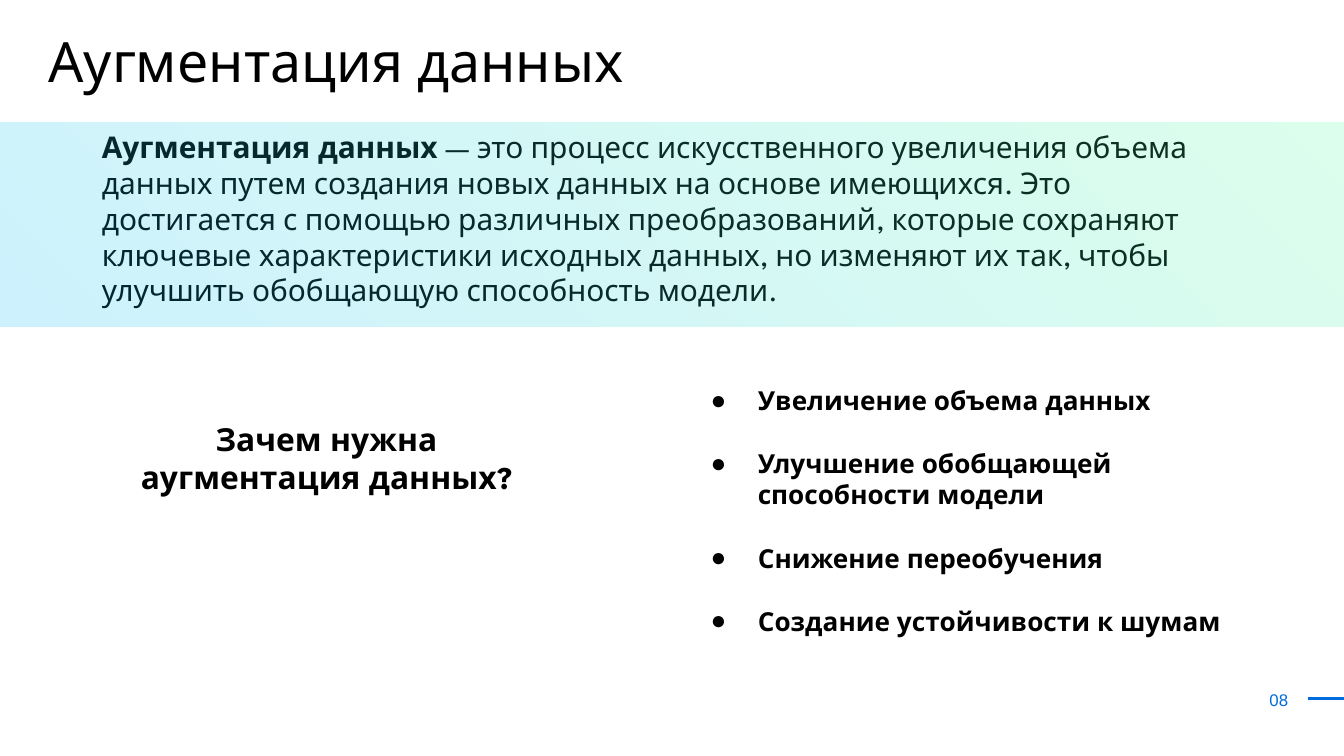
from lxml.etree import SubElement
from pptx import Presentation
from pptx.dml.color import RGBColor
from pptx.enum.shapes import MSO_CONNECTOR, MSO_SHAPE
from pptx.enum.text import MSO_ANCHOR, PP_ALIGN
from pptx.oxml.ns import qn
from pptx.util import Inches, Pt

WIDTH = 10
HEIGHT = WIDTH * 9 / 16
FONT = "League Spartan"
BLACK, ACCENT = "000000", "006CDC"
SKY, MINT = "00B8FF", "54FF9F"

HEADING = "Аугментация данных"
DEFINITION = (
    " — это процесс искусственного увеличения объема данных путем создания новых "
    "данных на основе имеющихся. Это достигается с помощью различных преобразований, "
    "которые сохраняют ключевые характеристики исходных данных, но изменяют их так, "
    "чтобы улучшить обобщающую способность модели."
)
QUESTION = "Зачем нужна аугментация данных?"
REASONS = [
    "Увеличение объема данных",
    "Улучшение обобщающей способности модели",
    "Снижение переобучения",
    "Создание устойчивости к шумам",
]


def colour(value):
    return RGBColor.from_string(value)


def place(shape, box):
    shape.left, shape.top, shape.width, shape.height = map(Inches, box)


def add_bullet(paragraph):
    props = paragraph._p.get_or_add_pPr()
    props.set("marL", str(Inches(0.5)))
    props.set("indent", str(Inches(-0.35)))
    bullet_colour = SubElement(props, qn("a:buClr"))
    SubElement(bullet_colour, qn("a:srgbClr"), val=BLACK)
    SubElement(props, qn("a:buFont"), typeface="Arial")
    SubElement(props, qn("a:buChar"), char="●")


def write(shape, paragraphs, size, font=FONT, ink=BLACK, align=PP_ALIGN.LEFT,
          insets=(0.1, 0.1, 0.1, 0.1), bullets=False, gap=0):
    """Fill a shape with paragraphs, each a list of (text, bold) runs."""
    frame = shape.text_frame
    frame.word_wrap = True
    frame.vertical_anchor = MSO_ANCHOR.TOP
    (frame.margin_left, frame.margin_top,
     frame.margin_right, frame.margin_bottom) = map(Inches, insets)
    for index, runs in enumerate(paragraphs):
        paragraph = frame.add_paragraph() if index else frame.paragraphs[0]
        paragraph.alignment = align
        paragraph.space_before = Pt(gap if index else 0)
        if bullets:
            add_bullet(paragraph)
        for text, bold in runs:
            run = paragraph.add_run()
            run.text = text
            run.font.name, run.font.size, run.font.bold = font, Pt(size), bold
            run.font.color.rgb = colour(ink)


def add_text(slide, box, paragraphs, size, **style):
    textbox = slide.shapes.add_textbox(*map(Inches, box))
    write(textbox, paragraphs, size, **style)


def add_title(slide, box):
    title = slide.shapes.title
    place(title, box)
    write(title, [[(HEADING, False)]], 29.7)


def add_definition(slide, box):
    """Definition text under a translucent band that bleeds off both sides."""
    left, top, width, height = box
    add_text(slide, (left + 1.67, top, 8.73, height - 0.18),
             [[(HEADING, True), (DEFINITION, False)]], 16,
             insets=(0.1, 0.05, 0.1, 0.05))
    band = slide.shapes.add_shape(MSO_SHAPE.RECTANGLE, *map(Inches, box))
    band.shadow.inherit = False
    band.line.fill.background()
    band.fill.gradient()
    band.fill.gradient_angle = 45
    for stop, position, tint in zip(band.fill.gradient_stops, (0, 1), (SKY, MINT)):
        stop.position = position
        stop.color.rgb = colour(tint)
        SubElement(stop._gs.find(qn("a:srgbClr")), qn("a:alpha"), val="20000")


def add_reasons(slide, box):
    """Question in the left column, bulleted answers in the right one."""
    left, top, width, height = box
    answers_width = 4.16
    add_text(slide, (left + width - answers_width, top, answers_width, height),
             [[(reason, True)] for reason in REASONS], 14,
             insets=(0.1, 0.33, 0.1, 0.1), bullets=True, gap=17)
    add_text(slide, (left, top + 0.49, 3.54, 0.77), [[(QUESTION, True)]], 17,
             align=PP_ALIGN.CENTER)


def add_page_number(slide, box):
    left, top, width, height = box
    add_text(slide, (left, top, 0.33, height), [[("08", False)]], 9, font="Arial",
             ink=ACCENT, align=PP_ALIGN.CENTER, insets=(0.07, 0.04, 0.07, 0.04))
    line_y = Inches(top + 0.11)
    rule = slide.shapes.add_connector(MSO_CONNECTOR.STRAIGHT, Inches(left + 0.38),
                                      line_y, Inches(left + width), line_y)
    rule.line.color.rgb = colour(ACCENT)
    rule.line.width = Pt(1.5)
    SubElement(rule._element.spPr, qn("a:effectLst"))


def main():
    deck = Presentation()
    deck.slide_width, deck.slide_height = Inches(WIDTH), Inches(HEIGHT)
    slide = deck.slides.add_slide(deck.slide_layouts[5])
    add_title(slide, (0.26, 0.1, 9.32, 0.63))
    add_definition(slide, (-1.01, 0.91, 11.6, 1.52))
    add_reasons(slide, (0.66, 2.53, 8.54, 2.32))
    add_page_number(slide, (9.35, 5.09, 0.8, 0.23))
    deck.save("out.pptx")


if __name__ == "__main__":
    main()
